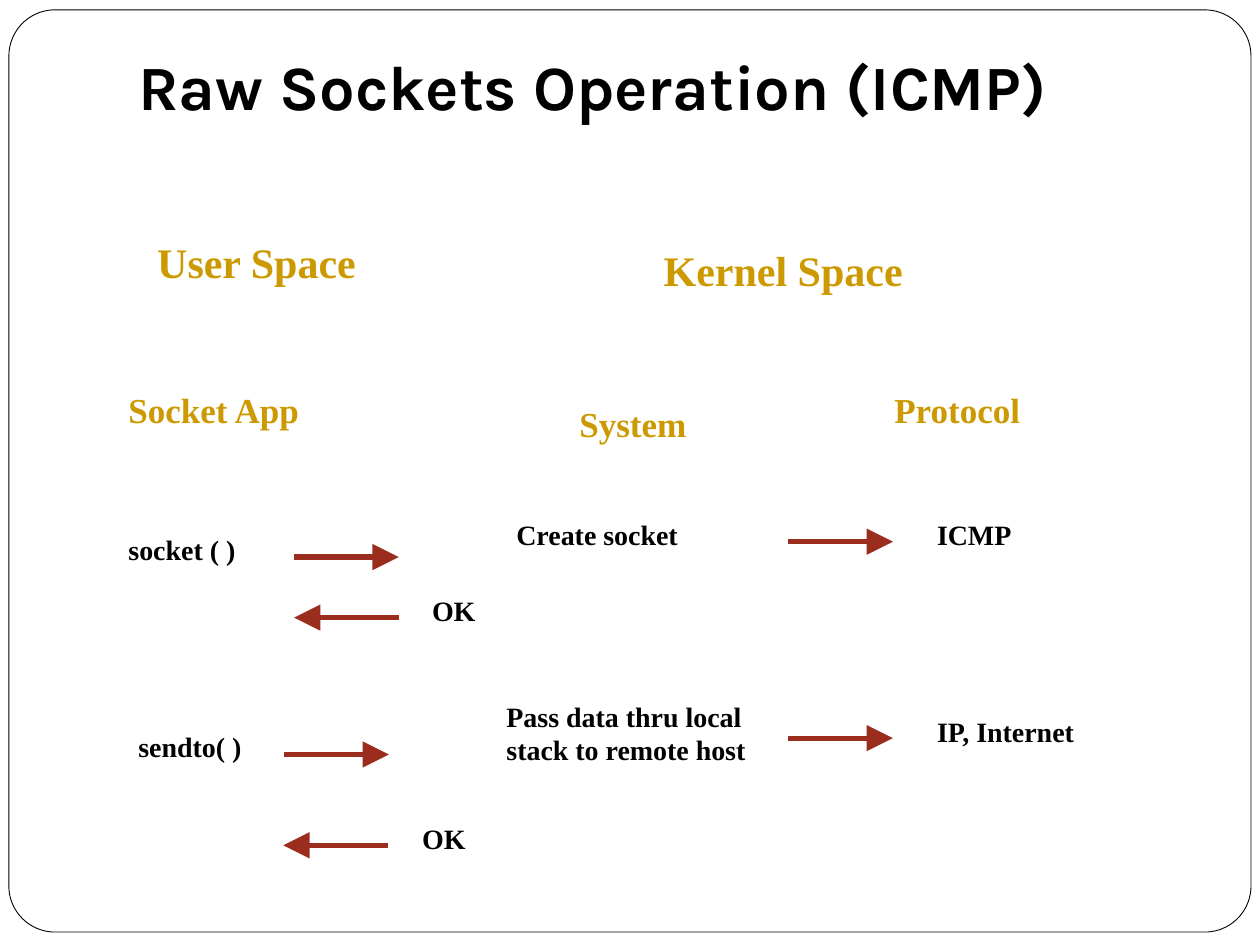
from dataclasses import dataclass

from lxml.etree import SubElement
from pptx import Presentation
from pptx.dml.color import RGBColor
from pptx.enum.shapes import MSO_CONNECTOR as Connector, MSO_SHAPE as Preset
from pptx.enum.text import MSO_ANCHOR as Anchor, MSO_AUTO_SIZE as AutoSize
from pptx.oxml.ns import qn
from pptx.util import Cm, Pt

BLACK = RGBColor(0x00, 0x00, 0x00)
WHITE = RGBColor(0xFF, 0xFF, 0xFF)
GOLD = RGBColor(0xCC, 0x99, 0x00)
RUST = RGBColor(0x9B, 0x2D, 0x1F)
BODY_FONT = "Times New Roman"
ARROW_LENGTH = 2.12


@dataclass(frozen=True)
class Style:
    size: int
    color: RGBColor
    height: float
    font: str = BODY_FONT


@dataclass(frozen=True)
class Label:
    text: str
    left: float
    top: float
    width: float
    style: Style
    wrap: bool = False


@dataclass(frozen=True)
class Arrow:
    start: float
    y: float
    direction: int


TITLE = Style(36, BLACK, 1.98, "Karla")
SPACE = Style(24, GOLD, 1.27)
COLUMN = Style(20, GOLD, 1.12)
STEP = Style(16, BLACK, 0.94)
TWO_LINE_STEP = Style(16, BLACK, 1.63)
RIGHT, LEFT = 1, -1

LABELS = [
    # Spaces
    Label("User Space", 2.92, 4.65, 4.52, SPACE),
    Label("Kernel Space", 13.13, 4.8, 5.33, SPACE),
    # Columns
    Label("Socket App", 2.34, 7.7, 3.99, COLUMN),
    Label("System", 11.43, 7.98, 3, COLUMN),
    Label("Protocol", 17.78, 7.7, 3.05, COLUMN),
    # Opening the socket
    Label("socket ( )", 2.34, 10.62, 3.38, STEP, wrap=True),
    Label("Create socket", 10.16, 10.31, 3.76, STEP),
    Label("ICMP", 18.64, 10.31, 2.01, STEP),
    Label("OK", 8.46, 11.84, 1.9, STEP, wrap=True),
    # Sending data
    Label("sendto( )", 2.54, 14.58, 3.38, STEP, wrap=True),
    Label("Pass data thru local\nstack to remote host", 9.96, 13.97, 5.33, TWO_LINE_STEP),
    Label("IP, Internet", 18.64, 14.27, 3.33, STEP),
    Label("OK", 8.26, 16.43, 1.9, STEP, wrap=True),
]

ARROWS = [
    Arrow(5.92, 11.23, RIGHT),
    Arrow(15.88, 10.92, RIGHT),
    Arrow(8.05, 12.45, LEFT),
    Arrow(5.72, 15.21, RIGHT),
    Arrow(15.88, 14.88, RIGHT),
    Arrow(7.83, 17.04, LEFT),
]


def draw_frame(slide) -> None:
    frame = slide.shapes.add_shape(
        Preset.ROUNDED_RECTANGLE, Cm(0.18), Cm(0.2), Cm(25.04), Cm(18.59))
    frame.adjustments[0] = 0.05
    frame.shadow.inherit = False
    frame.fill.solid()
    frame.fill.fore_color.rgb = WHITE
    frame.line.color.rgb = BLACK
    frame.line.width = Pt(0.5)


def draw_label(slide, label: Label):
    style = label.style
    box = slide.shapes.add_textbox(
        Cm(label.left), Cm(label.top), Cm(label.width), Cm(style.height))
    frame = box.text_frame
    frame.word_wrap = label.wrap
    frame.auto_size = AutoSize.SHAPE_TO_FIT_TEXT
    frame.text = label.text
    for paragraph in frame.paragraphs:
        font = paragraph.font
        font.name, font.size, font.bold = style.font, Pt(style.size), True
        font.color.rgb = style.color
    return frame


def draw_title(slide) -> None:
    title = draw_label(slide, Label(
        "Raw Sockets Operation (ICMP)", 2.54, 0.76, 21.59, TITLE, wrap=True))
    title.auto_size = AutoSize.NONE
    title.vertical_anchor = Anchor.BOTTOM
    title.margin_bottom = Cm(0.25)


def draw_arrow(slide, arrow: Arrow) -> None:
    end = arrow.start + arrow.direction * ARROW_LENGTH
    call = slide.shapes.add_connector(
        Connector.STRAIGHT, Cm(arrow.start), Cm(arrow.y), Cm(end), Cm(arrow.y))
    call.line.color.rgb = RUST
    call.line.width = Pt(3)
    properties = call.line._get_or_add_ln()
    SubElement(properties, qn("a:tailEnd"), type="triangle", w="lg", len="lg")
    SubElement(properties.getparent(), qn("a:effectLst"))


def main() -> None:
    deck = Presentation()
    deck.slide_width, deck.slide_height = Cm(25.4), Cm(19.05)
    slide = deck.slides.add_slide(deck.slide_layouts[6])

    draw_frame(slide)
    draw_title(slide)
    for label in LABELS:
        draw_label(slide, label)
    for arrow in ARROWS:
        draw_arrow(slide, arrow)

    deck.save("out.pptx")


if __name__ == "__main__":
    main()
